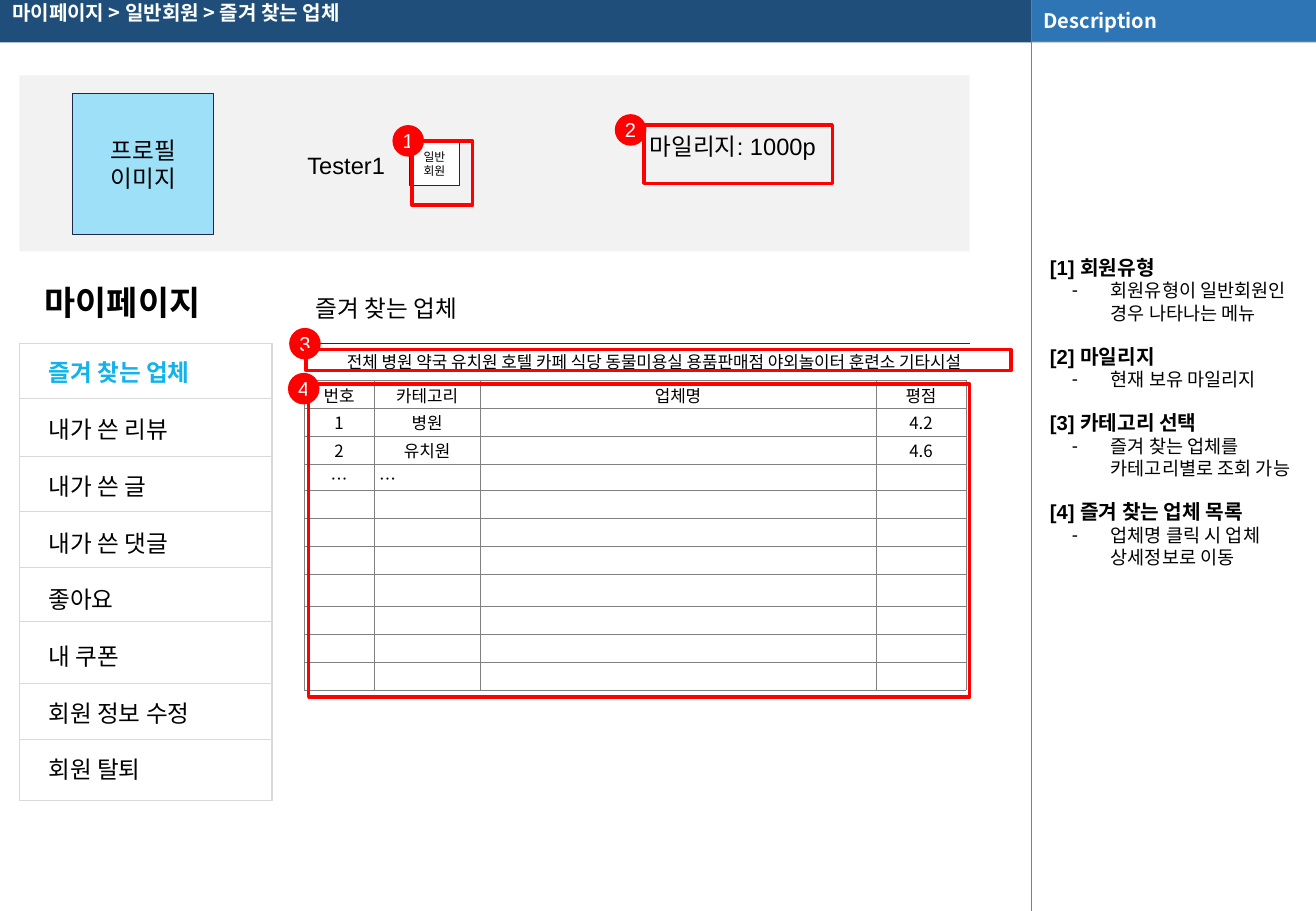
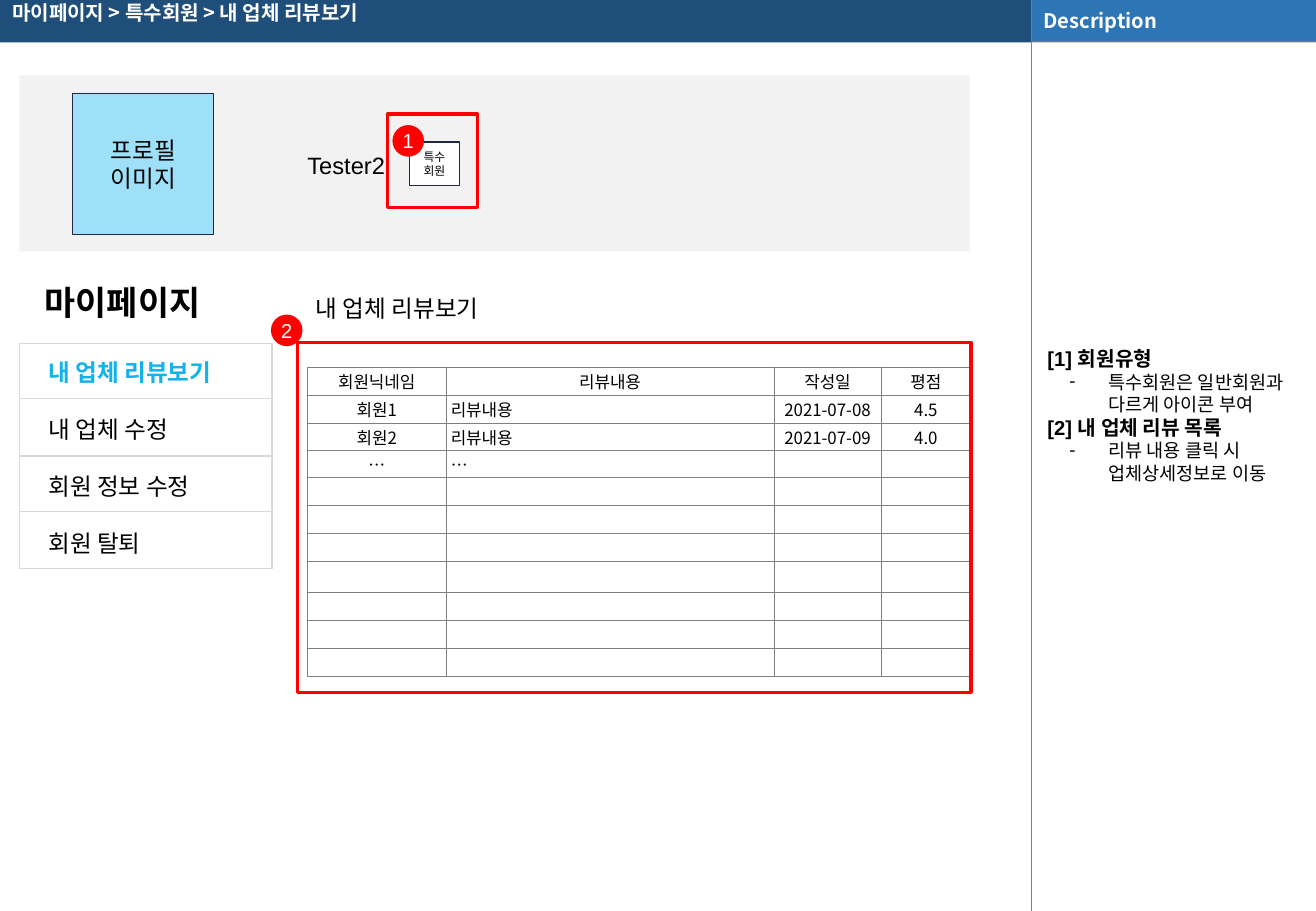
from lxml import etree
from pptx import Presentation
from pptx import util as u
from pptx.dml.color import RGBColor
from pptx.enum import shapes, text
from pptx.oxml.ns import qn

PX = 9144  # EMU in one px, 100 px to the inch
COLOURS = {
    "navy": "1E4E79", "blue": "2E75B5", "grey": "7F7F7F", "grid": "808080",
    "panel": "F2F2F2", "divider": "D9D9D9", "ink": "212745", "sky": "9EE0F8",
    "active": "12B2EB", "red": "FF0000", "white": "FFFFFF", "black": "000000",
}
RGB = {name: RGBColor.from_string(value) for name, value in COLOURS.items()}
KOREAN = "Noto Sans CJK KR"
RECT, OVAL = shapes.MSO_SHAPE.RECTANGLE, shapes.MSO_SHAPE.OVAL
LEFT, CENTER = text.PP_ALIGN.LEFT, text.PP_ALIGN.CENTER
TOP, MIDDLE = text.MSO_ANCHOR.TOP, text.MSO_ANCHOR.MIDDLE
ROW_HEIGHTS = [23, 23, 23, 22, 23, 23, 23, 26, 23, 23, 23]
DIVIDERS = [328, 376, 421, 467, 512, 563, 609]

PAGES = [
    {
        "path_title": "마이페이지 > 일반회원 > 즐겨 찾는 업체",
        "user": "Tester1", "member": "일반회원",
        "menu": ["즐겨 찾는 업체", "내가 쓴 리뷰", "내가 쓴 글", "내가 쓴 댓글",
                 "좋아요", "내 쿠폰", "회원 정보 수정", "회원 탈퇴"],
        "menu_height": 376,
        "labels": [
            ((249, 281, 578, 37), 10, "전체 병원 약국 유치원 호텔 카페 식당 동물미용실 "
                                      "용품판매점 야외놀이터 훈련소 기타시설"),
            ((482, 99, 242, 44), 14, "마일리지: 1000p"),
        ],
        "table_at": (250, 313), "columns": [58, 87, 326, 74], "left_column": 1,
        "rows": [["번호", "카테고리", "업체명", "평점"], ["1", "병원", "", "4.2"],
                 ["2", "유치원", "", "4.6"], ["…", "…", "", ""]],
        "left_from": 3,
        "badges": [(323, 103), (506, 94), (238, 270), (237, 307)],
        "highlights": [(339, 116, 50, 53), (530, 103, 155, 48),
                       (252, 288, 580, 17), (254, 316, 544, 258)],
        "notes_box": (854, 200, 233, 279), "notes_gap": 11.85,
        "notes": [("회원유형", "회원유형이 일반회원인 경우 나타나는 메뉴"),
                  ("마일리지", "현재 보유 마일리지"),
                  ("카테고리 선택", "즐겨 찾는 업체를 카테고리별로 조회 가능"),
                  ("즐겨 찾는 업체 목록", "업체명 클릭 시 업체 상세정보로 이동")],
    },
    {
        "path_title": "마이페이지 > 특수회원 > 내 업체 리뷰보기",
        "user": "Tester2", "member": "특수회원",
        "menu": ["내 업체 리뷰보기", "내 업체 수정", "회원 정보 수정", "회원 탈퇴"],
        "menu_height": 185,
        "labels": [],
        "table_at": (253, 302), "columns": [114, 270, 88, 74], "left_column": 1,
        "rows": [["회원닉네임", "리뷰내용", "작성일", "평점"],
                 ["회원1", "리뷰내용", "2021-07-08", "4.5"],
                 ["회원2", "리뷰내용", "2021-07-09", "4.0"], ["…", "…", "", ""]],
        "left_from": 1,
        "badges": [(323, 103), (223, 259)],
        "highlights": [(319, 94, 74, 77), (245, 282, 554, 288)],
        "notes_box": (852, 275, 233, 135), "notes_gap": 0,
        "notes": [("회원유형", "특수회원은 일반회원과 다르게 아이콘 부여"),
                  ("내 업체 리뷰 목록", "리뷰 내용 클릭 시 업체상세정보로 이동")],
    },
]


def add_box(slide, box, kind=None, fill=None, line=None, weight=0.75):
    """Add a preset shape, or a plain text box when no kind is given."""
    place = [n * PX for n in box]
    if kind is None:
        return slide.shapes.add_textbox(*place)
    shape = slide.shapes.add_shape(kind, *place)
    shape.shadow.inherit = False
    if fill:
        shape.fill.solid()
        shape.fill.fore_color.rgb = RGB[fill]
    else:
        shape.fill.background()
    if line:
        shape.line.color.rgb = RGB[line]
        shape.line.width = u.Pt(weight)
    else:
        shape.line.fill.background()
    return shape


def write(frame, words, size, colour="black", bold=False, font="Arial", align=LEFT,
          anchor=TOP, inset=(10, 10, 10, 10), holder=None):
    """Fill and format a text frame; holder is the cell that owns its margins."""
    frame.word_wrap = True
    layout_values = {"vertical_anchor": anchor}
    for side, gap in zip(("left", "top", "right", "bottom"), inset):
        layout_values["margin_" + side] = gap * PX
    for name, value in layout_values.items():
        setattr(holder or frame, name, value)
    frame.text = words
    for paragraph in frame.paragraphs:
        paragraph.alignment = align
        for run in paragraph.runs:
            run.font.color.rgb = RGB[colour]
            for name, value in {"size": u.Pt(size), "bold": bold, "name": font}.items():
                setattr(run.font, name, value)


prs = Presentation()
prs.slide_width, prs.slide_height = 1083 * PX, 750 * PX
layout = prs.slide_layouts[1]
for placeholder in list(layout.placeholders):
    if placeholder.placeholder_format.idx >= 10:
        layout.shapes.element.remove(placeholder.element)
slides = [prs.slides.add_slide(layout) for _ in PAGES]

# Header bands live on the layout, behind the title placeholder
bands = [add_box(slides[0], box, RECT, fill) for box, fill in [
    ((0, 0, 849, 35), "navy"), ((849, 0, 234, 35), "grey"), ((849, 0, 234, 34), "blue")]]
write(bands[-1].text_frame, "Description", 11.9, "white", True, KOREAN,
      anchor=MIDDLE, inset=(10, 5, 10, 5))
for band in bands:
    layout.shapes.element.append(band.element)

for slide, page in zip(slides, PAGES):
    title, notes = slide.placeholders
    for holder, box in ((title, (0, -6, 825, 35)), (notes, page["notes_box"])):
        for name, length in zip(("left", "top", "width", "height"), box):
            setattr(holder, name, length * PX)
        holder.text_frame.auto_size = text.MSO_AUTO_SIZE.NONE
    write(title.text_frame, page["path_title"], 11.9, "white", True, KOREAN,
          anchor=MIDDLE, inset=(10, 5, 10, 5))
    title.text_frame.paragraphs[0].line_spacing = 0.9
    title.text_frame.paragraphs[0].space_before = u.Pt(10.8)

    # Description list: numbered headings, each with one dashed point
    note_lines = []
    for number, (heading, detail) in enumerate(page["notes"], 1):
        note_lines += [f"[{number}] {heading}", detail]
    write(notes.text_frame, "\n".join(note_lines), 11)
    for i, paragraph in enumerate(notes.text_frame.paragraphs):
        is_heading = i % 2 == 0
        paragraph.space_before = u.Pt(page["notes_gap"] if is_heading and i else 0)
        if is_heading:
            paragraph.runs[0].font.size = u.Pt(12)
            paragraph.runs[0].font.bold = True
    for i, p in enumerate(notes.element.iter(qn("a:p"))):
        p_pr = p.get_or_add_pPr()
        if i % 2:
            p_pr.set("marL", str(50 * PX))
            p_pr.set("indent", str(-32 * PX))
            etree.SubElement(p_pr, qn("a:buChar")).set("char", "-")
        else:
            p_pr.set("marL", "0")
            p_pr.set("indent", "0")
            etree.SubElement(p_pr, qn("a:buNone"))

    # Table of companies or reviews
    grid = slide.shapes.add_table(
        len(ROW_HEIGHTS), len(page["columns"]), *[n * PX for n in page["table_at"]],
        sum(page["columns"]) * PX, sum(ROW_HEIGHTS) * PX)
    table = grid.table
    table.first_row = table.horz_banding = False
    for column, width in zip(table.columns, page["columns"]):
        column.width = width * PX
    for r, height in enumerate(ROW_HEIGHTS):
        table.rows[r].height = height * PX
        values = page["rows"][r] if r < len(page["rows"]) else [""] * len(page["columns"])
        for c, value in enumerate(values):
            cell = table.cell(r, c)
            is_left = c == page["left_column"] and r >= page["left_from"]
            write(cell.text_frame, value, 10, font=KOREAN, align=LEFT if is_left else CENTER,
                  anchor=MIDDLE, inset=(4, 1, 4, 0), holder=cell)
            if r:
                cell.fill.solid()
                cell.fill.fore_color.rgb = RGB["white"]
            else:
                cell.fill.background()
    for tc_pr in grid.element.iter(qn("a:tcPr")):
        for i, side in enumerate(("lnL", "lnR", "lnT", "lnB")):
            border = etree.Element(qn("a:" + side), w=str(u.Pt(0.25)))
            solid = etree.SubElement(border, qn("a:solidFill"))
            etree.SubElement(solid, qn("a:srgbClr")).set("val", COLOURS["grid"])
            tc_pr.insert(i, border)
    for p in grid.element.iter(qn("a:p")):
        if p.find(qn("a:r")) is None:
            etree.SubElement(p, qn("a:endParaRPr")).set("sz", "1000")

    # Side menu
    menu_frame = add_box(slide, (16, 283, 208, page["menu_height"]), RECT, line="divider")
    menu = add_box(slide, (30, 285, 186, page["menu_height"] - 2)).text_frame
    write(menu, "\n".join(page["menu"]), 14)
    for entry in menu.paragraphs[1:]:
        entry.space_before = u.Pt(16.8)
    current = menu.paragraphs[0].runs[0].font
    current.bold, current.color.rgb = True, RGB["active"]

    # Profile panel and headings
    add_box(slide, (16, 62, 782, 145), RECT, "panel")
    rules = [(849, 34, 849, 750, "grey"), (253, 283, 798, 283, "ink")]
    rules += [(16, y, 224, y, "divider") for y in DIVIDERS[:len(page["menu"]) - 1]]
    menu_middle = 283 + page["menu_height"] / 2
    for x1, y1, x2, y2, colour in rules:
        rule = slide.shapes.add_connector(
            shapes.MSO_CONNECTOR.STRAIGHT, *[n * PX for n in (x1, y1, x2, y2)])
        rule.line.color.rgb = RGB[colour]
        rule.line.width = u.Pt(0.75)
        etree.SubElement(rule.element.spPr, qn("a:effectLst"))
        if colour == "divider" and abs(y1 - menu_middle) < 1:
            rule.begin_connect(menu_frame, 1)
            rule.end_connect(menu_frame, 3)
    write(add_box(slide, (250, 232, 566, 44)).text_frame, page["menu"][0], 14)
    write(add_box(slide, (27, 222, 186, 54)).text_frame, "마이페이지", 20, bold=True)
    for box, fill, size, words in [((337, 117, 41, 36), "white", 7, page["member"]),
                                   ((60, 77, 116, 116), "sky", 14, "프로필\n이미지")]:
        write(add_box(slide, box, RECT, fill, "ink").text_frame, words, size,
              align=CENTER, anchor=MIDDLE)
    for box, size, words in [((220, 114, 130, 44), 14, page["user"])] + page["labels"]:
        write(add_box(slide, box).text_frame, words, size, align=CENTER)

    # Numbered callouts
    for number, corner in enumerate(page["badges"], 1):
        badge = add_box(slide, (*corner, 26, 26), OVAL, "red")
        write(badge.text_frame, str(number), 11.9, "white", align=CENTER,
              anchor=MIDDLE, inset=(0, 0, 0, 0))
    for box in page["highlights"]:
        add_box(slide, box, RECT, line="red", weight=2)

    # Hangul takes its face from the East Asian font slot
    for latin in list(slide.element.iter(qn("a:latin"))):
        latin.addnext(etree.Element(qn("a:ea"), typeface=KOREAN))

prs.save("out.pptx")
